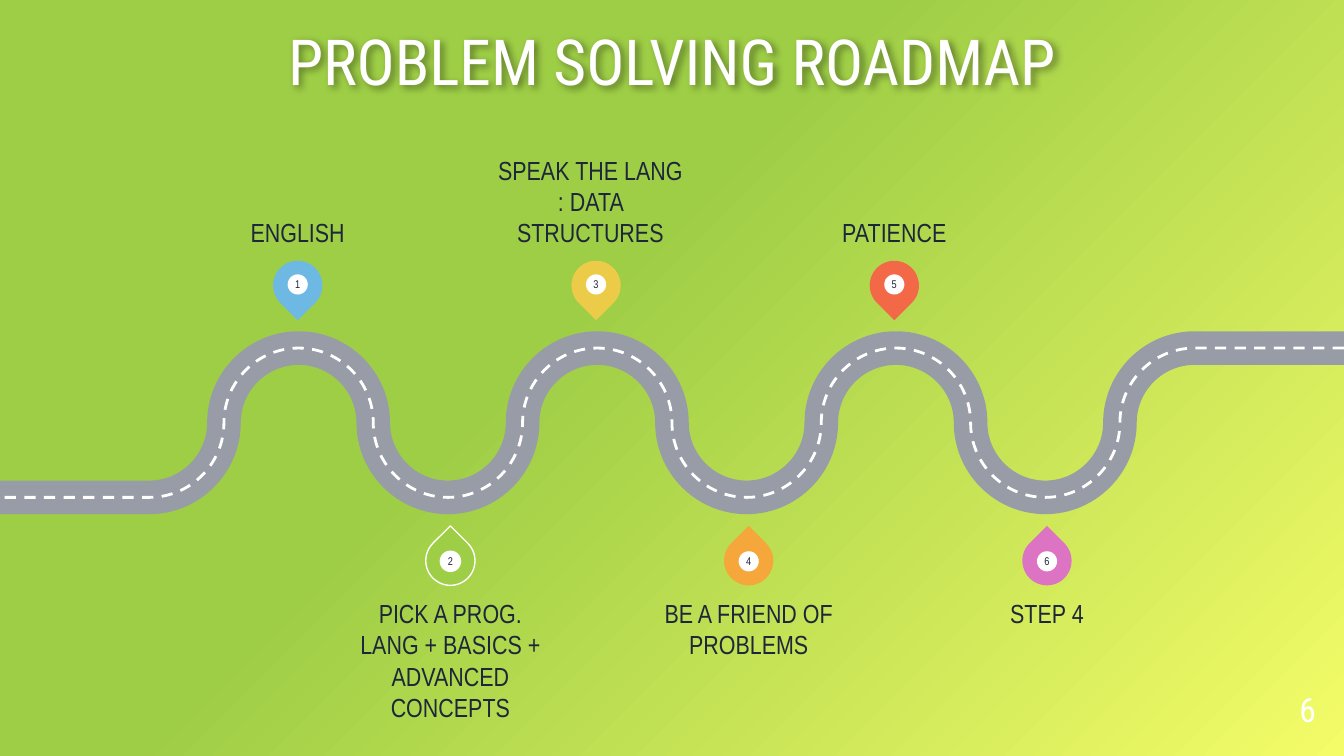
from pptx import Presentation
from pptx.dml.color import RGBColor
from pptx.enum.dml import MSO_LINE
from pptx.enum.shapes import MSO_SHAPE
from pptx.enum.text import MSO_ANCHOR, MSO_AUTO_SIZE, PP_ALIGN
from pptx.oxml import parse_xml
from pptx.oxml.ns import nsdecls
from pptx.util import Pt

COLORS = {
    "white": "FFFFFF", "ink": "1E263A", "road": "989CA7", "black": "000000",
    "lemon": "F4FC68", "lime": "9ECE46", "blue": "6DB9E4",
    "yellow": "ECCB49", "red": "F36846", "orange": "F5A73B", "pink": "DD73C3",
}
HEADING_FONT, LABEL_FONT = "Roboto Condensed", "Arial Narrow"
SLIDE_W, SLIDE_H = 720, 405
RADIUS, ROAD_Y = 40, 226.5
FIRST_BEND, PIN_STEP = 160, 79.9
ARC = 0.55  # handle length of a quarter circle, in radii
PIN, DOT = 26.4, 10.8
LABEL_W = 101.5

# label, pin colour, label height, label shift
STEPS = [
    ("ENGLISH", "blue", 42, 0),
    ("PICK A PROG. LANG + BASICS + ADVANCED CONCEPTS", "lime", 70.5, 0),
    ("SPEAK THE LANG : DATA STRUCTURES", "yellow", 52.5, -3),
    ("BE A FRIEND OF PROBLEMS", "orange", 42, 0),
    ("PATIENCE", "red", 42, 0),
    ("STEP 4", "pink", 42, 0),
]


def rgb(name):
    return RGBColor.from_string(COLORS[name])


def write(shape, text, size, font, color, align=PP_ALIGN.CENTER,
          anchor=MSO_ANCHOR.BOTTOM, spacing=None):
    frame = shape.text_frame
    frame.auto_size = MSO_AUTO_SIZE.NONE
    frame.word_wrap = True
    frame.vertical_anchor = anchor
    frame.margin_left = frame.margin_right = 0
    frame.margin_top = frame.margin_bottom = 0
    frame.text = text
    paragraph = frame.paragraphs[0]
    paragraph.alignment = align
    if spacing:
        paragraph.line_spacing = spacing
    paragraph.font.size = Pt(size)
    paragraph.font.name = font
    paragraph.font.color.rgb = rgb(color)


def paint_background(slide):
    """Glow spreading from the bottom right corner."""
    fill = slide.background.fill
    fill.gradient()
    gradient = slide.element.find(".//{*}bgPr/{*}gradFill")
    stops = "".join(
        f'<a:gs pos="{pos * 1000}"><a:srgbClr val="{COLORS[name]}"/></a:gs>'
        for pos, name in ((0, "lemon"), (58, "lime"), (100, "lime")))
    gradient.getparent().replace(gradient, parse_xml(
        f'<a:gradFill {nsdecls("a")} rotWithShape="1"><a:gsLst>{stops}</a:gsLst>'
        '<a:path path="circle"><a:fillToRect l="100000" t="100000"/></a:path>'
        '</a:gradFill>'))


def add_title(slide, left, top, width, height):
    title = slide.shapes.title
    title.left, title.top = Pt(left), Pt(top)
    title.width, title.height = Pt(width), Pt(height)
    write(title, "PROBLEM SOLVING ROADMAP", 34, HEADING_FONT, "white", spacing=0.9)
    title.fill.background()
    title.element.spPr.append(parse_xml(
        f'<a:effectLst {nsdecls("a")}><a:outerShdw blurRad="50800" dist="25400" '
        f'dir="2700000" algn="tl"><a:srgbClr val="{COLORS["black"]}">'
        '<a:alpha val="40000"/></a:srgbClr></a:outerShdw></a:effectLst>'))


def add_page_number(slide, left, top, width, height):
    number = slide.shapes.add_textbox(Pt(left), Pt(top), Pt(width), Pt(height))
    write(number, "6", 18, HEADING_FONT, "white", PP_ALIGN.RIGHT, spacing=0.9)


def road_nodes(left, right, middle):
    """Ends of the straights and quarter bends, from right to left."""
    heights = (-RADIUS, 0, RADIUS, 0)
    bends = 2 * len(STEPS) + 3
    start = left + FIRST_BEND + (bends - 3) * RADIUS
    nodes = [(start - i * RADIUS, middle + heights[i % 4]) for i in range(bends)]
    return [(right, middle - RADIUS)] + nodes + [(left, middle + RADIUS)]


def round_bends(lane):
    """Turn every inner straight segment into a quarter circle."""
    segments = list(lane.element.find(".//{*}pathLst/{*}path"))
    points = [(int(seg[0].get("x")), int(seg[0].get("y"))) for seg in segments]
    for i in range(2, len(segments) - 1):
        (x0, y0), (x1, y1) = points[i - 1:i + 1]
        dx, dy = ARC * (x1 - x0), ARC * (y1 - y0)
        if i % 2 == 0:
            handles = (x0 + dx, y0), (x1, y1 - dy)
        else:
            handles = (x0, y0 + dy), (x1 - dx, y1)
        marks = "".join(f'<a:pt x="{round(x)}" y="{round(y)}"/>'
                        for x, y in (*handles, (x1, y1)))
        segments[i].getparent().replace(segments[i], parse_xml(
            f'<a:cubicBezTo {nsdecls("a")}>{marks}</a:cubicBezTo>'))


def add_road(slide, left, right, middle):
    nodes = [(Pt(x), Pt(y)) for x, y in road_nodes(left, right, middle)]
    for color, width, dash in (("road", 18, None), ("white", 1.5, MSO_LINE.DASH)):
        builder = slide.shapes.build_freeform(*nodes[0])
        builder.add_line_segments(nodes[1:], close=False)
        lane = builder.convert_to_shape()
        round_bends(lane)
        lane.shadow.inherit = False
        lane.fill.background()
        lane.line.color.rgb = rgb(color)
        lane.line.width = Pt(width)
        lane.line.dash_style = dash


def add_centered(shapes, kind, x, y, size, color, outlined):
    shape = shapes.add_shape(kind, Pt(x - size / 2), Pt(y - size / 2),
                             Pt(size), Pt(size))
    shape.shadow.inherit = False
    shape.fill.solid()
    shape.fill.fore_color.rgb = rgb(color)
    if outlined:
        shape.line.color.rgb = rgb("white")
        shape.line.width = Pt(0.75)
    else:
        shape.line.fill.background()
    return shape


def add_step(slide, number, x, middle, label, color, height, shift):
    """Pin and label; odd steps stand above the road, even ones hang below."""
    above = number % 2 == 1
    x += -0.5 if above else 1.4
    pin_y = middle - 73.6 if above else middle + 73.9
    outlined = color == "lime"
    marker = slide.shapes.add_group_shape().shapes
    pin = add_centered(marker, MSO_SHAPE.TEAR, x, pin_y, PIN, color, outlined)
    pin.rotation = 135 if above else 315
    dot_y = pin_y - 0.5 if above else pin_y + 0.3
    dot = add_centered(marker, MSO_SHAPE.OVAL, x, dot_y, DOT, "white", outlined)
    write(dot, str(number), 6, LABEL_FONT, "ink", anchor=MSO_ANCHOR.MIDDLE)

    top = middle - 93.5 - height if above else middle + 93.5
    box = slide.shapes.add_textbox(Pt(x + shift - LABEL_W / 2), Pt(top),
                                   Pt(LABEL_W), Pt(height))
    write(box, label, 14, LABEL_FONT, "ink",
          anchor=MSO_ANCHOR.BOTTOM if above else MSO_ANCHOR.TOP)


def main():
    deck = Presentation()
    deck.slide_width, deck.slide_height = Pt(SLIDE_W), Pt(SLIDE_H)
    slide = deck.slides.add_slide(deck.slide_layouts[5])
    paint_background(slide)
    add_title(slide, 61, 21.5, 598, 31.5)
    add_page_number(slide, 661.5, 366, 43.5, 25)
    add_road(slide, 0, SLIDE_W, ROAD_Y)
    for i, step in enumerate(STEPS):
        add_step(slide, i + 1, FIRST_BEND + i * PIN_STEP, ROAD_Y, *step)
    deck.save("out.pptx")


if __name__ == "__main__":
    main()
